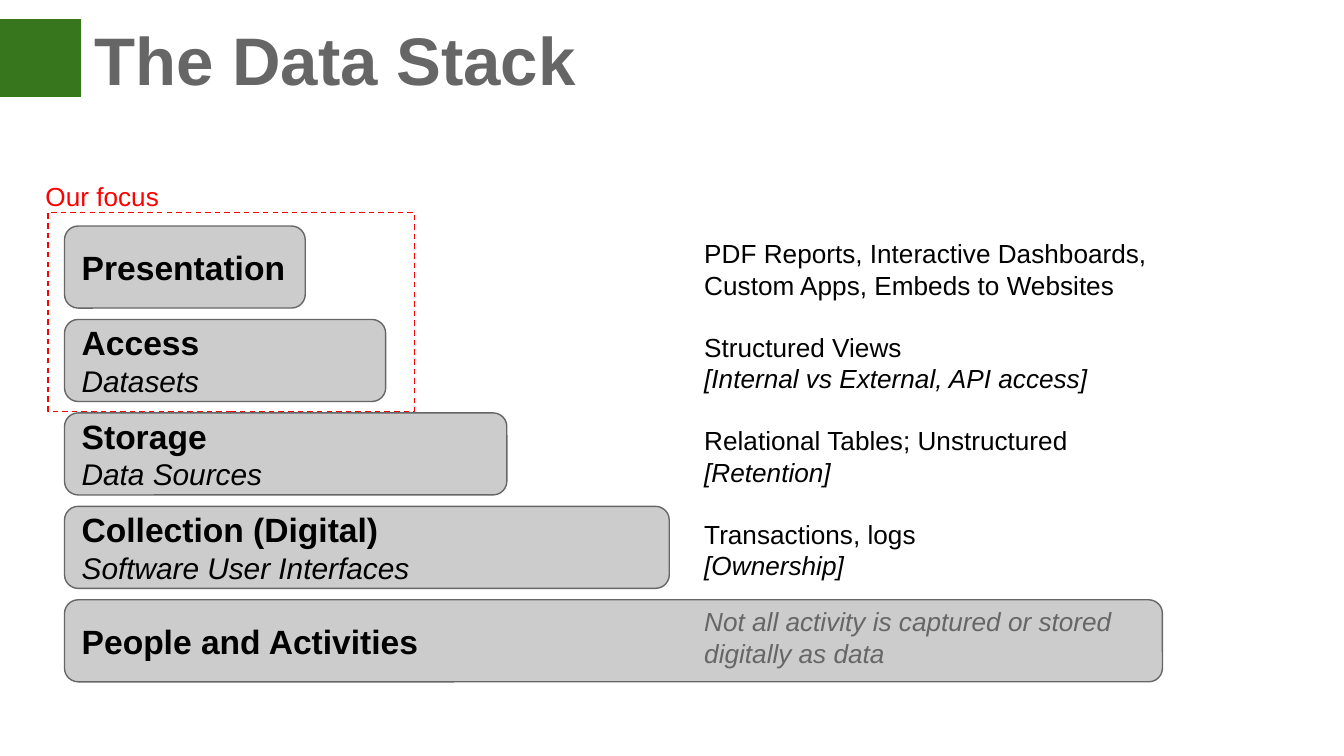
from pptx import Presentation
from pptx.dml.color import RGBColor
from pptx.enum.dml import MSO_LINE
from pptx.enum.shapes import MSO_SHAPE
from pptx.enum.text import MSO_ANCHOR, MSO_AUTO_SIZE, PP_ALIGN
from pptx.util import Cm, Pt

GREEN = RGBColor(0x38, 0x76, 0x1D)
LIGHT_GREY = RGBColor(0xCC, 0xCC, 0xCC)
DARK_GREY = RGBColor(0x66, 0x66, 0x66)
BLACK = RGBColor(0, 0, 0)
RED = RGBColor(0xFF, 0, 0)

TITLE = "The Data Stack"
FOCUS = "Our focus"
# Each layer: width in cm, name, subtitle, note, italic note
LAYERS = [
    (4.55, "Presentation", "",
     "PDF Reports, Interactive Dashboards, Custom Apps, Embeds to Websites", ""),
    (6.07, "Access", "Datasets",
     "Structured Views", "[Internal vs External, API access]"),
    (8.36, "Storage", "Data Sources",
     "Relational Tables; Unstructured", "[Retention]"),
    (11.43, "Collection (Digital)", "Software User Interfaces",
     "Transactions, logs", "[Ownership]"),
    (20.75, "People and Activities", "",
     "", "Not all activity is captured or stored digitally as data"),
]
LAYER_LEFT, LAYER_TOP, LAYER_HEIGHT, LAYER_PITCH = 1.22, 4.27, 1.55, 1.765
NOTE_LEFT, NOTE_WIDTH, NOTE_HEIGHT = 13.06, 9.02, 1.17


def write(shape, spans, anchor=MSO_ANCHOR.TOP):
    """Write spans of (text, size, colour, bold, italic), one per line."""
    frame = shape.text_frame
    frame.word_wrap = True
    frame.auto_size = MSO_AUTO_SIZE.NONE
    frame.vertical_anchor = anchor
    frame.margin_left = frame.margin_right = Cm(0.25)
    frame.margin_top = frame.margin_bottom = Cm(0.25)
    para = frame.paragraphs[0]
    para.alignment = PP_ALIGN.LEFT
    for index, (text, size, colour, bold, italic) in enumerate(spans):
        if index:
            para.add_line_break()
        span = para.add_run()
        span.text = text
        span.font.name = "Arial"
        span.font.size = Pt(size)
        span.font.color.rgb = colour
        span.font.bold = bold
        span.font.italic = italic


def add_box(page, kind, left, top, width, height, fill=None, line=None):
    box = page.shapes.add_shape(kind, Cm(left), Cm(top), Cm(width), Cm(height))
    box.shadow.inherit = False
    if fill is None:
        box.fill.background()
    else:
        box.fill.solid()
        box.fill.fore_color.rgb = fill
    if line is None:
        box.line.fill.background()
    else:
        box.line.color.rgb = line
        box.line.width = Pt(0.75)
    return box


def add_text(page, left, top, width, height, spans):
    box = page.shapes.add_textbox(Cm(left), Cm(top), Cm(width), Cm(height))
    write(box, spans)


def add_layer(page, index, layer):
    width, name, subtitle, note, italic_note = layer
    top = LAYER_TOP + index * LAYER_PITCH
    box = add_box(page, MSO_SHAPE.ROUNDED_RECTANGLE, LAYER_LEFT, top, width,
                  LAYER_HEIGHT, LIGHT_GREY, DARK_GREY)
    spans = [(name, 18, BLACK, True, False)]
    if subtitle:
        spans.append((subtitle, 16, BLACK, False, True))
    write(box, spans, MSO_ANCHOR.MIDDLE)

    inside = LAYER_LEFT + width > NOTE_LEFT
    colour = DARK_GREY if inside else BLACK
    lift = 0.14 if inside else 0.03
    notes = [(note, 14, colour, False, False),
             (italic_note, 14, colour, False, True)]
    add_text(page, NOTE_LEFT, top - lift, NOTE_WIDTH, NOTE_HEIGHT,
             [span for span in notes if span[0]])


def main():
    deck = Presentation()
    deck.slide_width, deck.slide_height = Cm(25.4), Cm(14.28)
    page = deck.slides.add_slide(deck.slide_layouts[5])

    title = page.shapes.title
    title.left, title.top = Cm(1.53), Cm(0.1)
    title.width, title.height = Cm(21.62), Cm(1.96)
    write(title, [(TITLE, 36, DARK_GREY, True, False)])
    add_box(page, MSO_SHAPE.RECTANGLE, 0, 0.36, 1.53, 1.47, GREEN)

    for index, layer in enumerate(LAYERS):
        add_layer(page, index, layer)

    focus = add_box(page, MSO_SHAPE.RECTANGLE, 0.91, 4.01, 6.93, 3.76, line=RED)
    focus.line.dash_style = MSO_LINE.DASH
    add_text(page, 0.61, 3.15, 5.49, 0.71, [(FOCUS, 14, RED, False, False)])

    deck.save("out.pptx")


if __name__ == "__main__":
    main()
